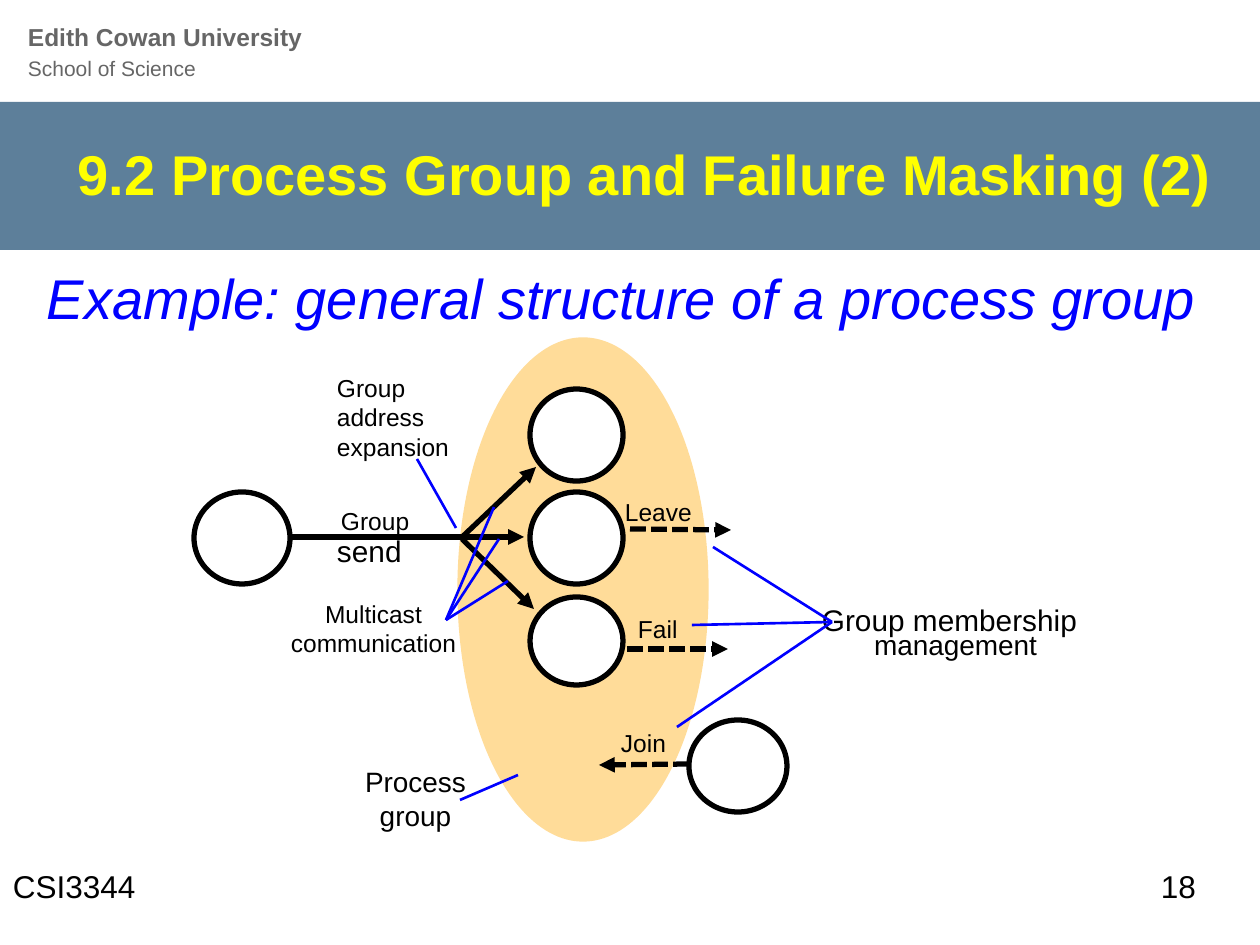
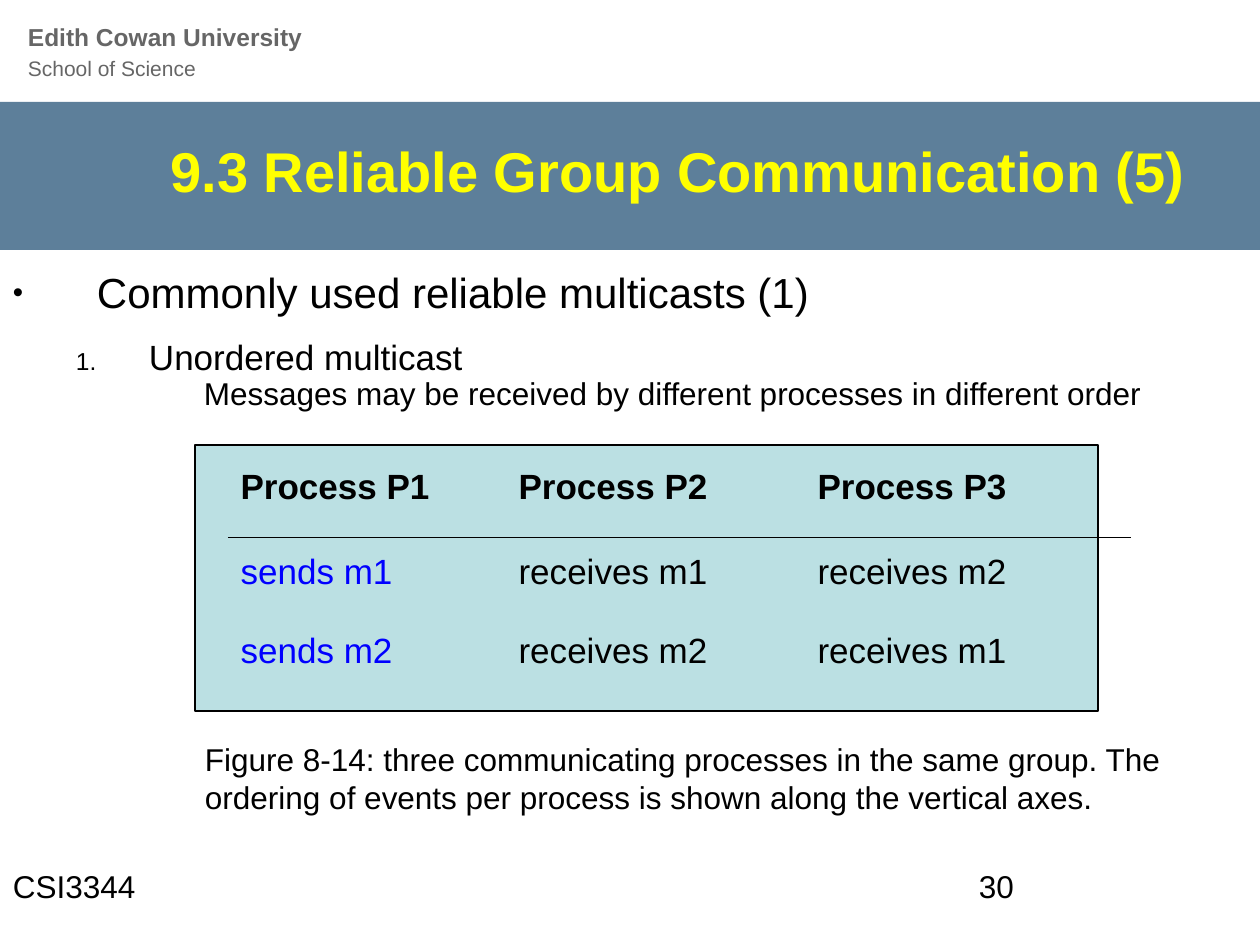
from lxml import etree
from pptx import Presentation
from pptx.dml.color import RGBColor
from pptx.enum.dml import MSO_LINE
from pptx.enum.shapes import MSO_CONNECTOR, MSO_SHAPE
from pptx.enum.text import MSO_ANCHOR, PP_ALIGN
from pptx.oxml.ns import qn
from pptx.util import Emu, Pt

STRAIGHT = MSO_CONNECTOR.STRAIGHT
OVAL, RECTANGLE = MSO_SHAPE.OVAL, MSO_SHAPE.RECTANGLE
LEFT, CENTER, RIGHT = PP_ALIGN.LEFT, PP_ALIGN.CENTER, PP_ALIGN.RIGHT
TOP, MIDDLE = MSO_ANCHOR.TOP, MSO_ANCHOR.MIDDLE
DASH = MSO_LINE.SQUARE_DOT

PX_PER_INCH = 126
FONT = "Arial"
INSETS = (13, 6)
NO_TABLE_STYLE = "{2D5ABB26-0587-4C30-8999-92F81FD0307C}"
COLORS = {
    "band": "5D7F9A", "title": "FFFF00", "header": "666666", "black": "000000",
    "white": "FFFFFF", "blue": "0000FF", "group": "FFDC99", "panel": "BBE0E3",
}

BAND = (0, 102, 1265, 148)
HEADER_BOX = (15, 16, 742, 72)
HEADER_LINES = [("Edith Cowan University", 14, True), ("School of Science", 12, False)]
COURSE = "CSI3344"
COURSE_BOX = (0, 861, 294, 63)

GROUP_SLIDE = {
    "title": "9.2 Process Group and Failure Masking (2)",
    "title_box": (34, 105, 1191, 137),
    "number": "18",
    "number_box": (1148, 861, 112, 63),
}
EXAMPLE = "Example: general structure of a process group"
EXAMPLE_BOX = (34, 265, 1191, 70)
GROUP_OVAL = (460, 340, 246, 499)
PROCESS_OVALS = [
    (194, 492, 96, 92),
    (530, 389, 93, 92),
    (530, 492, 93, 92),
    (530, 597, 93, 88),
    (689, 720, 98, 92),
]
LABELS = [
    ("Join", (621, 728, 60, 29), 14, LEFT),
    ("Group address expansion", (337, 373, 117, 88), 14, LEFT),
    ("Multicast communication", (290, 599, 167, 59), 14, CENTER),
    ("Group", (341, 506, 85, 29), 14, LEFT),
    ("send", (337, 533, 80, 35), 17, LEFT),
    ("Fail", (638, 614, 55, 29), 14, LEFT),
    ("Group membership", (822, 602, 275, 35), 17, LEFT),
    ("management", (874, 627, 180, 34), 16, LEFT),
    ("Leave", (625, 497, 85, 29), 14, LEFT),
    ("Process group", (360, 765, 111, 67), 16, CENTER),
]
SEND_ARROWS = [
    (289, 537, 524, 537),
    (460, 539, 536, 467),
    (462, 539, 534, 609),
]
MEMBERSHIP_ARROWS = [
    (630, 529, 731, 530),
    (627, 649, 728, 649),
    (689, 764, 599, 765),
]
CALLOUTS = [
    (417, 459, 456, 528),
    (460, 800, 518, 775),
    *[(832, 622, x, y) for x, y in [(713, 547), (692, 625), (677, 727)]],
    *[(446, 620, x, y) for x, y in [(508, 581), (499, 539), (494, 507)]],
]

MULTICAST_SLIDE = {
    "title": "9.3 Reliable Group Communication (5)",
    "title_box": (65, 126, 1134, 89),
    "number": "30",
    "number_box": (966, 861, 294, 63),
}
OUTLINE_BOX = (0, 266, 1196, 170)
OUTLINE = [
    ("Commonly used reliable multicasts (1)", 24, 84, -84, ("buChar", "char", "•"), 0),
    ("Unordered multicast", 20, 136, -73, ("buAutoNum", "type", "arabicPeriod"), 13),
    ("Messages may be received by different processes in different order",
     18, 191, 0, None, 0),
]
PANEL = (195, 445, 903, 266)
TABLE_ORIGIN = (228, 446)
COLUMN_WIDTHS = [278, 299, 326]
ROW_HEIGHTS = [91, 79, 79]
EVENTS = [
    ["Process P1", "Process P2", "Process P3"],
    ["sends m1", "receives m1", "receives m2"],
    ["sends m2", "receives m2", "receives m1"],
]
CAPTION = ("Figure 8-14: three communicating processes in the same group. "
           "The ordering of events per process is shown along the vertical axes.")
CAPTION_BOX = (192, 734, 1004, 88)


def px(length):
    return Emu(round(length * 914400 / PX_PER_INCH))


def place(box):
    return [px(length) for length in box]


def rgb(name):
    return RGBColor.from_string(COLORS[name])


def set_font(font, size, color="black", **formats):
    for name, value in {"name": FONT, "size": Pt(size), **formats}.items():
        setattr(font, name, value)
    font.color.rgb = rgb(color)


def add_box(slide, box, insets=INSETS, anchor=TOP):
    frame = slide.shapes.add_textbox(*place(box)).text_frame
    side, edge = place(insets)
    settings = {
        "margin_left": side, "margin_right": side, "margin_top": edge,
        "margin_bottom": edge, "vertical_anchor": anchor, "word_wrap": True,
    }
    for name, value in settings.items():
        setattr(frame, name, value)
    return frame


def add_text(slide, text, box, size, color="black", align=LEFT, insets=INSETS,
             anchor=TOP, **formats):
    paragraph = add_box(slide, box, insets, anchor).paragraphs[0]
    paragraph.alignment = align
    run = paragraph.add_run()
    run.text = text
    set_font(run.font, size, color, **formats)
    return paragraph


def add_shape(slide, kind, box, fill, line=None, width=3):
    shape = slide.shapes.add_shape(kind, *place(box))
    shape.shadow.inherit = False
    shape.fill.solid()
    shape.fill.fore_color.rgb = rgb(fill)
    if line:
        shape.line.color.rgb = rgb(line)
        shape.line.width = Pt(width)
    else:
        shape.line.fill.background()


def add_line(slide, points, color, width, arrow=False, dash=None):
    connector = slide.shapes.add_connector(STRAIGHT, *place(points))
    line = connector.line
    line.color.rgb = rgb(color)
    line.width = Pt(width)
    if dash:
        line.dash_style = dash
    properties = connector._element.spPr
    if arrow:
        etree.SubElement(properties.find(qn("a:ln")), qn("a:tailEnd"), type="triangle")
    etree.SubElement(properties, qn("a:effectLst"))


def add_base(presentation, content):
    slide = presentation.slides.add_slide(presentation.slide_layouts[6])
    add_shape(slide, RECTANGLE, BAND, "band")
    header = add_box(slide, HEADER_BOX).paragraphs[0]
    header.line_spacing = Pt(16.7)
    for index, (text, size, bold) in enumerate(HEADER_LINES):
        if index:
            header.add_line_break()
        run = header.add_run()
        run.text = text
        set_font(run.font, size, "header", bold=bold)
    add_text(slide, content["title"], content["title_box"], 32, "title", RIGHT,
             anchor=MIDDLE, bold=True)
    add_text(slide, COURSE, COURSE_BOX, 18)
    add_text(slide, content["number"], content["number_box"], 18)
    return slide


def add_outline(slide):
    frame = add_box(slide, OUTLINE_BOX)
    for index, (text, size, margin, indent, bullet, space) in enumerate(OUTLINE):
        paragraph = frame.add_paragraph() if index else frame.paragraphs[0]
        paragraph.line_spacing = 0.9
        if space:
            paragraph.space_before = Pt(space)
        properties = paragraph._p.get_or_add_pPr()
        properties.set("marL", str(px(margin)))
        properties.set("indent", str(px(indent)))
        if bullet:
            tag, attribute, value = bullet
            color = etree.SubElement(properties, qn("a:buClr"))
            etree.SubElement(color, qn("a:srgbClr"), val=COLORS["black"])
            etree.SubElement(properties, qn("a:buSzPct"), val="70000")
            etree.SubElement(properties, qn("a:buFont"), typeface=FONT)
            etree.SubElement(properties, qn("a:" + tag), {attribute: value})
        run = paragraph.add_run()
        run.text = text
        set_font(run.font, size)


def add_bottom_border(cell):
    border = etree.Element(qn("a:lnB"), w=str(Pt(0.45)))
    fill = etree.SubElement(border, qn("a:solidFill"))
    etree.SubElement(fill, qn("a:srgbClr"), val=COLORS["black"])
    cell._tc.get_or_add_tcPr().insert(0, border)


def add_events_table(slide):
    box = (*TABLE_ORIGIN, sum(COLUMN_WIDTHS), sum(ROW_HEIGHTS))
    table = slide.shapes.add_table(len(EVENTS), len(COLUMN_WIDTHS), *place(box)).table
    table.first_row = table.horz_banding = False
    table._tbl.tblPr.find(qn("a:tableStyleId")).text = NO_TABLE_STYLE
    for column, width in zip(table.columns, COLUMN_WIDTHS):
        column.width = px(width)
    for row_index, (row, texts) in enumerate(zip(table.rows, EVENTS)):
        row.height = px(ROW_HEIGHTS[row_index])
        for cell, text in zip(row.cells, texts):
            cell.fill.background()
            cell.vertical_anchor = MIDDLE
            paragraph = cell.text_frame.paragraphs[0]
            paragraph.line_spacing = 0.7
            run = paragraph.add_run()
            run.text = text
            color = "blue" if text.startswith("sends") else "black"
            set_font(run.font, 20, color, bold=row_index == 0)
            if row_index == 0:
                add_bottom_border(cell)


def build_group_slide(presentation):
    slide = add_base(presentation, GROUP_SLIDE)
    example = add_text(slide, EXAMPLE, EXAMPLE_BOX, 32, "blue", italic=True)
    example.line_spacing = 0.9
    add_shape(slide, OVAL, GROUP_OVAL, "group", "group")
    for box in PROCESS_OVALS:
        add_shape(slide, OVAL, box, "white", "black")
    for text, box, size, align in LABELS:
        add_text(slide, text, box, size, align=align, insets=(0, 0))
    for points in SEND_ARROWS:
        add_line(slide, points, "black", 3, arrow=True)
    for points in CALLOUTS:
        add_line(slide, points, "blue", 1.5)
    for points in MEMBERSHIP_ARROWS:
        add_line(slide, points, "black", 3, arrow=True, dash=DASH)


def build_multicast_slide(presentation):
    slide = add_base(presentation, MULTICAST_SLIDE)
    add_shape(slide, RECTANGLE, PANEL, "panel", "black", 1)
    add_outline(slide)
    add_events_table(slide)
    add_text(slide, CAPTION, CAPTION_BOX, 18)


def main():
    presentation = Presentation()
    presentation.slide_width, presentation.slide_height = place((1260, 945))
    build_group_slide(presentation)
    build_multicast_slide(presentation)
    presentation.save("out.pptx")


if __name__ == "__main__":
    main()
